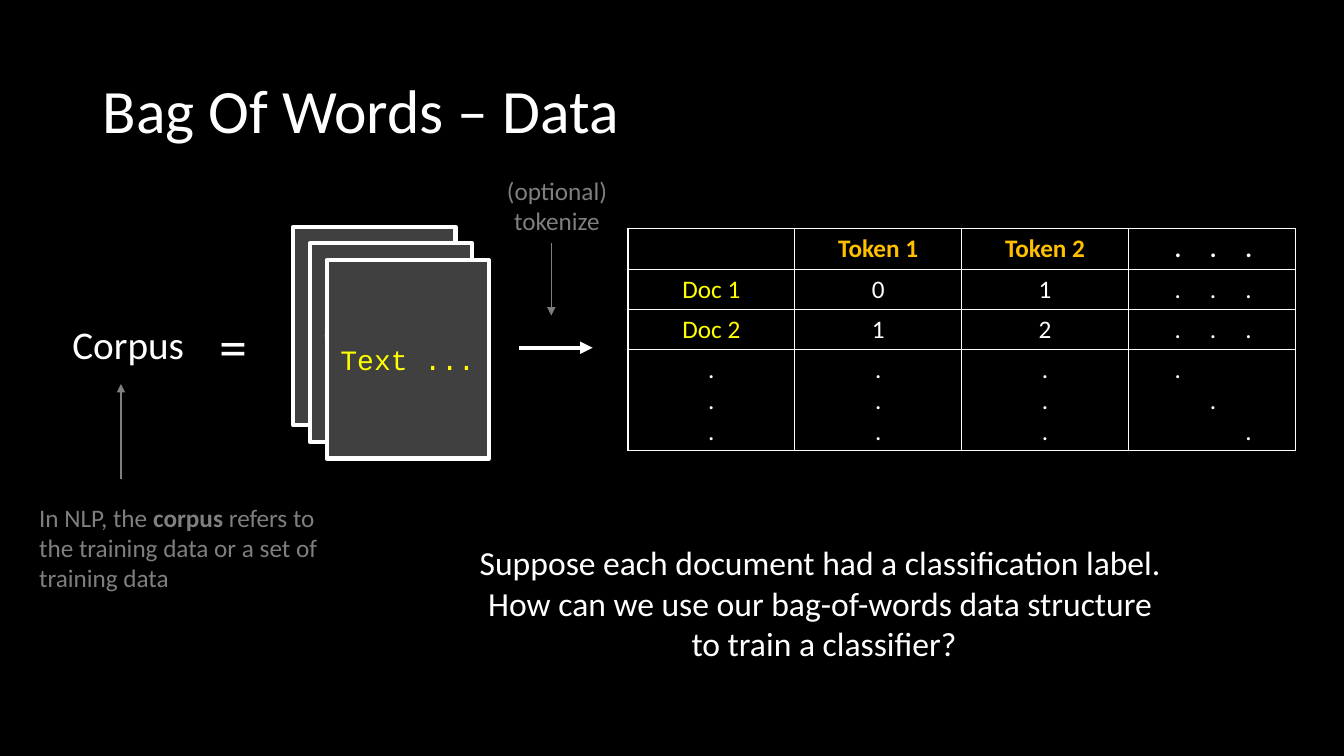
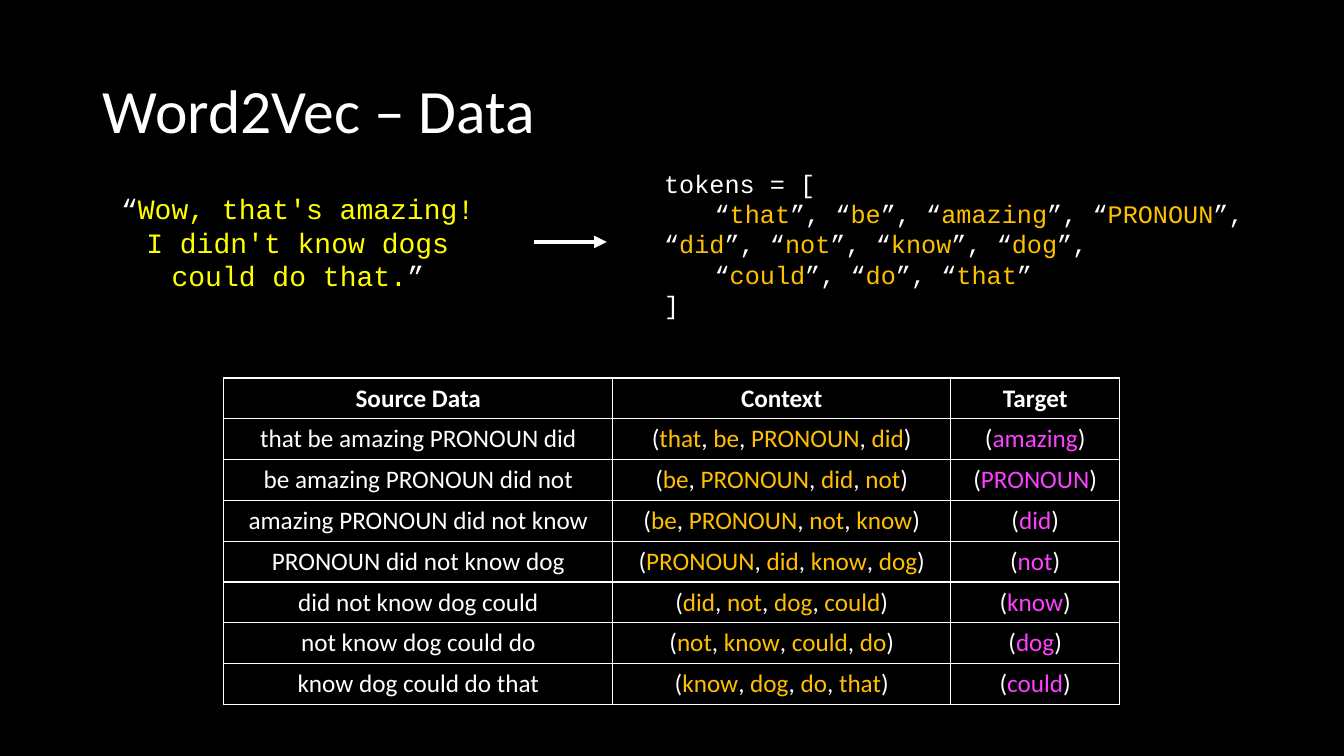
from pptx import Presentation
from pptx.dml.color import RGBColor
from pptx.enum.shapes import MSO_CONNECTOR as Connector, MSO_SHAPE as Shape
from pptx.enum.text import MSO_ANCHOR as Anchor, PP_ALIGN as Align
from pptx.oxml.ns import qn
from pptx.util import Emu, Pt
from lxml.etree import SubElement, Element

# Shared look
PX = 9144  # EMU per px, 100 px to the inch
BLACK, WHITE, GRAY, CARD = "000000", "FFFFFF", "7F7F7F", "404040"
YELLOW, ORANGE, PINK = "FFFF00", "FFC000", "FF40FF"
SANS, MONO = "Calibri", "Courier New"
DOT_STOPS = (36, 71, 106)

# Content: text between asterisks takes the accent
CORPUS_NOTE = "In NLP, the *corpus *refers to the training data or a set of training data"
QUESTION = [
    "Suppose each document had a classification label. ",
    "How can we use our bag-of-words data structure ",
    "to train a classifier?",
]
DOTS_ACROSS = "\t.\t.\t."
DOTS_DOWN = ".\n.\n."
DOTS_DIAGONAL = "\t.\n\t\t.\n\t\t\t."
COUNTS = [
    ("", "*Token 1*", "*Token 2*", DOTS_ACROSS),
    ("*Doc 1*", "0", "1", DOTS_ACROSS),
    ("*Doc 2*", "1", "2", DOTS_ACROSS),
    (DOTS_DOWN, DOTS_DOWN, DOTS_DOWN, DOTS_DIAGONAL),
]
SENTENCE = "“*Wow, that's amazing! I didn't know dogs could do that.*”"
TOKENS = [
    "tokens = [",
    "“*that*”, “*be*”, “*amazing*”, “*PRONOUN*”, “*did*”, “*not*”, “*know*”, “*dog*”,",
    "“*could*”, “*do*”, “*that*”",
    "]",
]
WINDOW_HEADER = ("Source Data", "Context", "Target")
WINDOWS = [
    ("that be amazing PRONOUN did", "that be PRONOUN did", "amazing"),
    ("be amazing PRONOUN did not", "be PRONOUN did not", "PRONOUN"),
    ("amazing PRONOUN did not know", "be PRONOUN not know", "did"),
    ("PRONOUN did not know dog", "PRONOUN did know dog", "not"),
    ("did not know dog could", "did not dog could", "know"),
    ("not know dog could do", "not know could do", "dog"),
    ("know dog could do that", "know dog do that", "could"),
]


def px(value):
    return Emu(round(value * PX))


def rgb(color):
    return RGBColor.from_string(color)


def write(frame, lines, size, color=WHITE, font=SANS, align=Align.LEFT,
          accent=None, bold=False):
    """Fill a text frame; accented runs take the accent colour, or bold without one."""
    for index, line in enumerate(lines):
        paragraph = frame.paragraphs[0] if index == 0 else frame.add_paragraph()
        paragraph.alignment = align
        paragraph.font.size = Pt(size)
        paragraph.font.name = font
        paragraph.font.bold = bold
        for part, text in enumerate(line.split("*")):
            if not text:
                continue
            run = paragraph.add_run()
            run.text = text
            accented = part % 2 == 1
            run.font.color.rgb = rgb(accent if accented and accent else color)
            if accented and not accent:
                run.font.bold = True


def add_slide(title):
    slide = presentation.slides.add_slide(presentation.slide_layouts[5])
    shape = slide.shapes.title
    shape.left, shape.top, shape.width, shape.height = map(px, (92, 40, 1150, 145))
    shape.text_frame.vertical_anchor = Anchor.MIDDLE
    write(shape.text_frame, [title], 44)
    shape.text_frame.paragraphs[0].line_spacing = 0.9
    return slide


def add_text(slide, box, lines, size, **style):
    frame = slide.shapes.add_textbox(*map(px, box)).text_frame
    frame.word_wrap = True
    write(frame, lines, size, **style)
    return frame


def add_arrow(slide, start, end, color=WHITE, width=3):
    arrow = slide.shapes.add_connector(
        Connector.STRAIGHT, *map(px, (*start, *end)))
    arrow.line.color.rgb = rgb(color)
    arrow.line.width = Pt(width)
    SubElement(arrow.line._get_or_add_ln(), qn("a:tailEnd"), type="triangle")
    SubElement(arrow._element.spPr, qn("a:effectLst"))


def add_card(slide, left, top):
    card = slide.shapes.add_shape(Shape.RECTANGLE, *map(px, (left, top, 161, 197)))
    card.shadow.inherit = False
    card.fill.solid()
    card.fill.fore_color.rgb = rgb(CARD)
    card.line.color.rgb = rgb(WHITE)
    card.line.width = Pt(3)
    card.text_frame.vertical_anchor = Anchor.MIDDLE
    card.text_frame.word_wrap = False
    write(card.text_frame, ["Text ..."], 20, YELLOW, MONO, Align.CENTER)


def add_borders(cell):
    properties = cell._tc.get_or_add_tcPr()
    for side in ("lnL", "lnR", "lnT", "lnB"):
        line = SubElement(properties, qn(f"a:{side}"), w=str(Pt(1)))
        fill = SubElement(line, qn("a:solidFill"))
        SubElement(fill, qn("a:srgbClr"), val=WHITE)


def add_tab_stops(paragraph):
    stops = Element(qn("a:tabLst"))
    for stop in DOT_STOPS:
        SubElement(stops, qn("a:tab"), pos=str(px(stop)), algn="l")
    paragraph._p.get_or_add_pPr().insert(0, stops)


def add_table(slide, left, top, widths, heights, rows, accent_for):
    table = slide.shapes.add_table(
        len(rows), len(widths),
        *map(px, (left, top, sum(widths), sum(heights)))).table
    table.first_row = table.horz_banding = False
    for column, width in zip(table.columns, widths):
        column.width = px(width)
    for r, (row, height) in enumerate(zip(rows, heights)):
        table.rows[r].height = px(height)
        for c, text in enumerate(row):
            cell = table.cell(r, c)
            tabbed = "\t" in text
            write(cell.text_frame, text.split("\n"), 18, bold=r == 0,
                  align=Align.LEFT if tabbed else Align.CENTER,
                  accent=accent_for(r, c))
            if tabbed:
                for paragraph in cell.text_frame.paragraphs:
                    add_tab_stops(paragraph)
            add_borders(cell)
            cell.fill.background()


def build_bag_of_words():
    slide = add_slide("Bag Of Words – Data")

    # Corpus and its note
    add_text(slide, (62, 313, 161, 57), ["Corpus"], 28)
    add_text(slide, (204, 304, 55, 77), ["="], 40, align=Align.CENTER)
    add_text(slide, (29, 493, 328, 101), [CORPUS_NOTE], 18, color=GRAY)
    add_arrow(slide, (120, 475), (120, 381), GRAY, 1)

    # Stack of documents
    for index in range(3):
        shift = 33 * index / 2
        add_card(slide, 291 + shift, 225 + shift)

    # Tokenize step
    add_arrow(slide, (515, 345), (588, 345))
    add_arrow(slide, (547, 241), (547, 313), GRAY, 1)
    add_text(slide, (483, 169, 139, 71), ["(optional) tokenize"], 18,
             color=GRAY, align=Align.CENTER)

    # Token counts and closing question
    add_table(slide, 623, 227, [662 / 4] * 4, [40, 40, 40, 100], COUNTS,
              lambda row, column: YELLOW if column == 0 else ORANGE)
    add_text(slide, (419, 533, 797, 131), QUESTION, 24, align=Align.CENTER)


def build_word2vec():
    slide = add_slide("Word2Vec – Data")

    # Sentence to tokens
    add_text(slide, (107, 185, 377, 111), [SENTENCE], 20, font=MONO,
             align=Align.CENTER, accent=YELLOW)
    add_arrow(slide, (530, 240), (602, 240))
    tokens = add_text(slide, (649, 162, 628, 162), TOKENS, 18, font=MONO,
                      accent=ORANGE)
    for paragraph in tokens.paragraphs[1:-1]:
        paragraph._p.get_or_add_pPr().set("indent", str(px(50)))

    # Context windows
    rows = [WINDOW_HEADER]
    for source, context, target in WINDOWS:
        words = ", ".join(f"*{word}*" for word in context.split())
        rows.append((source, f"({words})", f"(*{target}*)"))
    add_table(slide, 222, 375, [386, 335, 168], [324 / len(rows)] * len(rows), rows,
              lambda row, column: PINK if column == 2 else ORANGE)


presentation = Presentation()
presentation.slide_width, presentation.slide_height = Emu(12192000), px(750)
background = presentation.slide_master.background.fill
background.solid()
background.fore_color.rgb = rgb(BLACK)
build_bag_of_words()
build_word2vec()
presentation.save("out.pptx")
